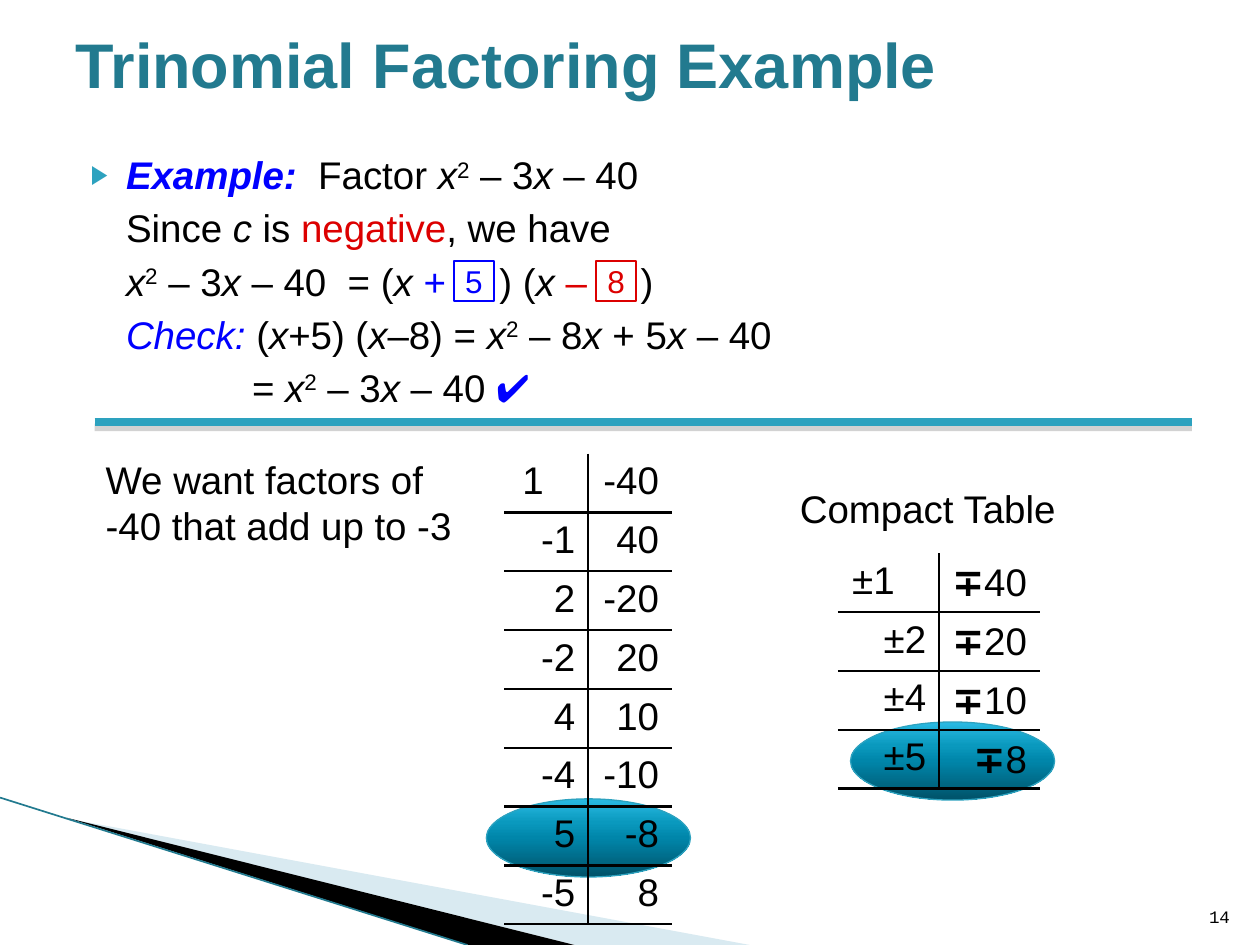
from lxml.etree import SubElement
from pptx import Presentation
from pptx.dml.color import RGBColor
from pptx.enum.shapes import MSO_CONNECTOR, MSO_SHAPE
from pptx.enum.text import MSO_ANCHOR, PP_ALIGN
from pptx.oxml.ns import qn
from pptx.util import Inches, Pt

COLORS = {
    "text": "000000", "title": "227A8F", "accent": "2DA2BF", "pale": "A0CBDC",
    "blue": "0000FF", "red": "DC0000", "shadow": "808080",
}
ELLIPSE_STOPS = {0: "2ABAE3", 30: "0A99BE", 50: "0086AA", 100: "005269"}
PLAIN_TABLE = "{2D5ABB26-0587-4C30-8999-92F81FD0307C}"

deck = Presentation()
deck.slide_width, deck.slide_height = Inches(10), Inches(7.5)
COLUMN, ROW = deck.slide_width / 100, deck.slide_height / 75


def grid(*cells):
    """Turn alternating columns and rows of the slide grid into lengths."""
    return [round(n * (ROW if i % 2 else COLUMN)) for i, n in enumerate(cells)]


def write(paragraph, text, size=22, font="Arial", color="text", bold=False,
          italic=False, raised=False, gap=0):
    """Add a run; gap widens each of its characters by that many points."""
    run = paragraph.add_run()
    run.text = text
    run.font.size, run.font.name = Pt(size), font
    run.font.bold, run.font.italic = bold, italic
    run.font.color.rgb = RGBColor.from_string(COLORS[color])
    properties = run.font._element
    if raised:
        properties.set("baseline", "30000")
    if gap:
        properties.set("spc", str(round(gap * 100)))


slide = deck.slides.add_slide(deck.slide_layouts[1])
shapes = slide.shapes
title, body = shapes.title, slide.placeholders[1]

# Corner decoration
for color, opacity, corners in [
    ("pale", 40, [(5.5, 65), (59.5, 75), (45.6, 75)]),
    ("text", 100, [(5.3, 64.9), (45.6, 75), (37.2, 75)]),
]:
    start, *others = [grid(*corner) for corner in corners]
    outline = shapes.build_freeform(*start)
    outline.add_line_segments(others)
    wedge = outline.convert_to_shape()
    wedge.shadow.inherit = False
    wedge.fill.solid()
    wedge.fill.fore_color.rgb = RGBColor.from_string(COLORS[color])
    wedge.line.fill.background()
    tint = wedge._element.spPr.find(qn("a:solidFill"))[0]
    SubElement(tint, qn("a:alpha"), val=str(opacity * 1000))

for color, width, ends, shaded in [
    ("title", 0.95, (0, 63.3, 37.1, 75), False),
    ("accent", 4.33, (7.5, 33.5, 94.6, 33.5), True),
]:
    rule = shapes.add_connector(MSO_CONNECTOR.STRAIGHT, *grid(*ends))
    rule.line.color.rgb = RGBColor.from_string(COLORS[color])
    rule.line.width = Pt(width)
    effects = SubElement(rule._element.spPr, qn("a:effectLst"))
    if shaded:
        shadow = SubElement(effects, qn("a:outerShdw"), dist=str(Pt(3)),
                            dir="5400000", rotWithShape="0")
        tint = SubElement(shadow, qn("a:srgbClr"), val=COLORS["shadow"])
        SubElement(tint, qn("a:alpha"), val="35000")

# Highlights behind the matching factor pairs
for left, top in [(38.6, 63.4), (67.5, 57.3)]:
    highlight = shapes.add_shape(MSO_SHAPE.OVAL, *grid(left, top, 16.2, 6.2))
    highlight.shadow.inherit = False
    highlight.line.color.rgb = RGBColor.from_string(COLORS["accent"])
    highlight.line.width = Pt(0.75)
    highlight.fill.gradient()
    highlight.fill.gradient_angle = 270
    stops = highlight._element.spPr.find(qn("a:gradFill")).find(qn("a:gsLst"))
    stops[:] = []
    for position, shade in ELLIPSE_STOPS.items():
        stop = SubElement(stops, qn("a:gs"), pos=str(position * 1000))
        SubElement(stop, qn("a:srgbClr"), val=shade)

# Title
title.left, title.top, title.width, title.height = grid(5, -1.2, 80.3, 12.5)
title.text_frame.vertical_anchor = MSO_ANCHOR.MIDDLE
heading = title.text_frame.paragraphs[0]
heading.alignment = PP_ALIGN.LEFT
write(heading, "Trinomial Factoring Example", size=36, color="title", bold=True)

# Worked example
X = ("x", {"italic": True})
X_SQUARED = [X, ("2", {"raised": True})]
TRINOMIAL = [*X_SQUARED, (" – 3", {}), X, (" – 40", {})]
WIDE_SPACE = (" ", {"gap": 6.1})
BOX_SPACE = (" ", {"gap": 24.5})
steps = [
    [("Example:", {"color": "blue", "bold": True, "italic": True}), WIDE_SPACE,
     ("Factor ", {}), *TRINOMIAL],
    [("Since ", {}), ("c", {"italic": True}), (" is ", {}),
     ("negative", {"color": "red"}), (", we have", {})],
    [*TRINOMIAL, WIDE_SPACE, ("= (", {}), ("x ", {"italic": True}),
     ("+", {"color": "blue"}), BOX_SPACE, (") (", {}), ("x ", {"italic": True}),
     ("–", {"color": "red"}), BOX_SPACE, (")", {})],
    [("Check:", {"color": "blue", "italic": True}), (" (", {}), X, ("+5) (", {}), X,
     ("–8) = ", {}), *X_SQUARED, (" – 8", {}), X, (" + 5", {}), X, (" – 40", {})],
    [("= ", {}), *TRINOMIAL, (" ", {}), ("✔", {"color": "blue"})],
]
body.left, body.top, body.width, body.height = grid(5, 11.5, 90, 22.3)
for number, step in enumerate(steps):
    frame = body.text_frame
    line = frame.add_paragraph() if number else frame.paragraphs[0]
    line.space_before = Pt(4)
    layout = line._p.get_or_add_pPr()
    layout.set("marL", str(Inches(1.4 if step is steps[-1] else 0.4)))
    layout.set("indent", str(0 if number else Inches(-0.28)))
    if number:
        SubElement(layout, qn("a:buNone"))
    else:
        tint = SubElement(layout, qn("a:buClr"))
        SubElement(tint, qn("a:srgbClr"), val=COLORS["accent"])
        SubElement(layout, qn("a:buSzPct"), val="68000")
        SubElement(layout, qn("a:buChar"), char="▶")
    for text, style in step:
        write(line, text, **style)

# Boxed answers
for answer, color, left in [("5", "blue", 36), ("8", "red", 47.3)]:
    answer_box = shapes.add_shape(MSO_SHAPE.RECTANGLE, *grid(left, 20.7, 3.2, 3.2))
    answer_box.shadow.inherit = False
    answer_box.fill.background()
    answer_box.line.color.rgb = RGBColor.from_string(COLORS[color])
    answer_box.line.width = Pt(1.25)
    frame = answer_box.text_frame
    frame.margin_left = frame.margin_right = frame.margin_top = frame.margin_bottom = 0
    frame.vertical_anchor = MSO_ANCHOR.MIDDLE
    frame.paragraphs[0].alignment = PP_ALIGN.CENTER
    write(frame.paragraphs[0], answer, size=18, color=color)

# Captions and page number
for text, area, anchor, align, style in [
    ("We want factors of -40 that add up to -3", (7.4, 35.7, 31.2, 8.4),
     MSO_ANCHOR.TOP, PP_ALIGN.LEFT, {}),
    ("Compact Table", (62.5, 38, 24.1, 4.7), MSO_ANCHOR.TOP, PP_ALIGN.LEFT, {}),
    ("14", (94.6, 70.1, 4, 4), MSO_ANCHOR.BOTTOM, PP_ALIGN.RIGHT,
     {"size": 10, "font": "Courier New"}),
]:
    frame = shapes.add_textbox(*grid(*area)).text_frame
    frame.word_wrap = True
    frame.vertical_anchor = anchor
    frame.paragraphs[0].alignment = align
    write(frame.paragraphs[0], text, **style)

# Factor tables
all_pairs = [("1", "-40"), ("-1", "40"), ("2", "-20"), ("-2", "20"),
             ("4", "10"), ("-4", "-10"), ("5", "-8"), ("-5", "8")]
compact_pairs = [("±1", "∓40"), ("±2", "∓20"), ("±4", "∓10"), ("±5", "∓8")]
for pairs, left, top, width in [(all_pairs, 40, 36, 13.3),
                                (compact_pairs, 66.5, 43.9, 16)]:
    area = grid(left, top, width, 4.66 * len(pairs))
    factors = shapes.add_table(len(pairs), 2, *area).table
    factors.first_row = factors.horz_banding = False
    factors._tbl.tblPr.find(qn("a:tableStyleId")).text = PLAIN_TABLE
    for r, pair in enumerate(pairs):
        for c, factor in enumerate(pair):
            cell = factors.cell(r, c)
            if r == c == 0:
                cell.margin_right = Inches(0.35)
            for side in ["a:lnB"] if c else ["a:lnR", "a:lnB"]:
                border = SubElement(cell._tc.get_or_add_tcPr(), qn(side), w=str(Pt(1.5)))
                ink = SubElement(border, qn("a:solidFill"))
                SubElement(ink, qn("a:srgbClr"), val=COLORS["text"])
            cell.fill.background()
            entry = cell.text_frame.paragraphs[0]
            entry.alignment = PP_ALIGN.RIGHT
            if factor.startswith("∓"):
                write(entry, "∓", font="Montserrat", bold=True)
            write(entry, factor.lstrip("∓"))

deck.save("out.pptx")
